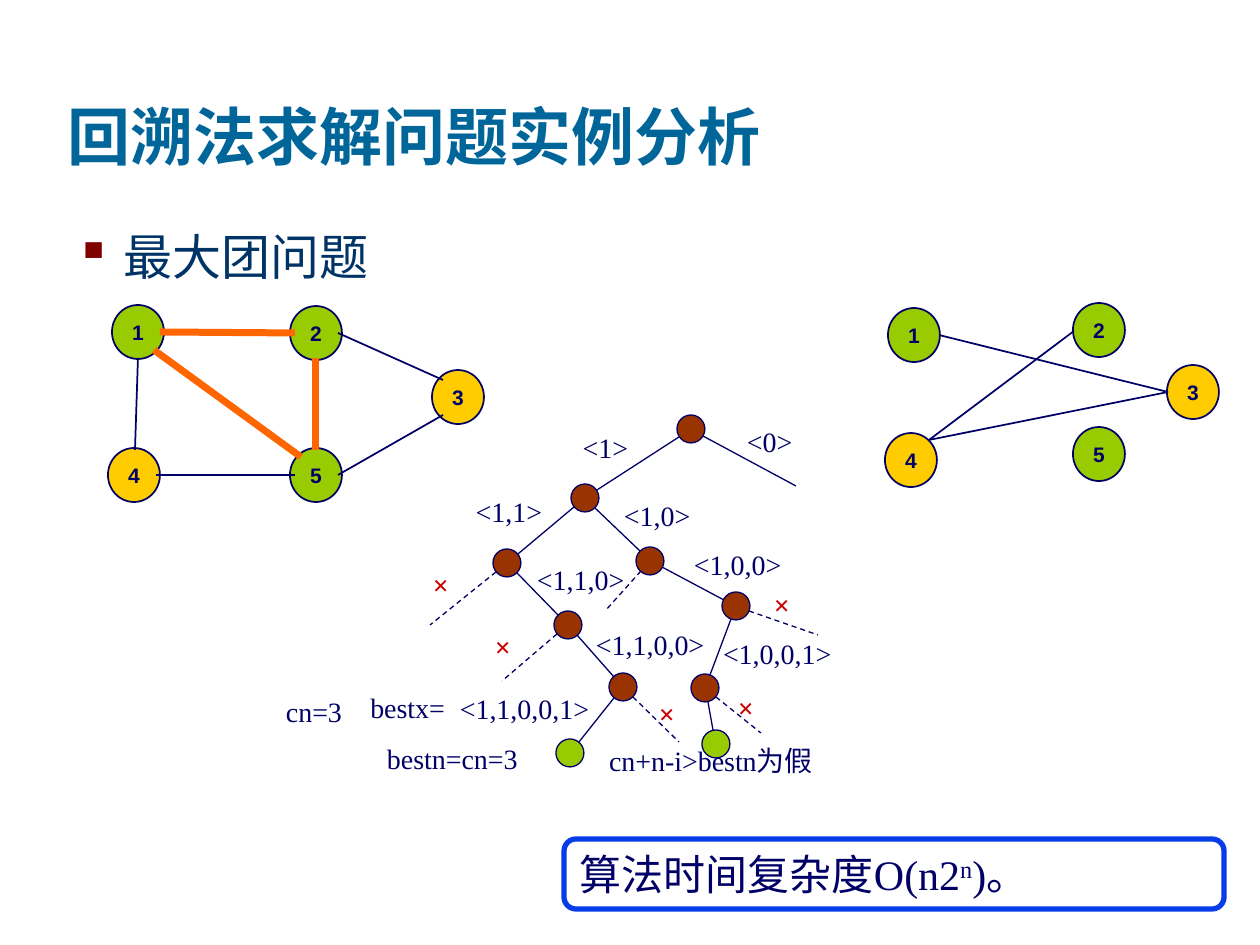
import math

import pptx
import pptx.dml.color
import pptx.enum.dml
import pptx.enum.shapes
import pptx.enum.text
import pptx.oxml.ns
import pptx.util
from lxml import etree

PX = 914400 / 126
COLORS = {
    "title": "006699", "body": "003366", "bullet": "800000", "ink": "000066",
    "brown": "993300", "green": "99CC00", "yellow": "FFCC00", "orange": "FF6600",
    "cross": "CC0000", "frame": "063DE8", "white": "FFFFFF",
}
ALIGN = pptx.enum.text.PP_ALIGN
ANCHOR = pptx.enum.text.MSO_ANCHOR
SHAPE = pptx.enum.shapes.MSO_SHAPE
SERIF = "Times New Roman"
HEADING = "Vollkorn"
RADIUS = 14
NODE_SIZE = (52, 54)


def emu(*lengths):
    return [pptx.util.Emu(round(length * PX)) for length in lengths]


def rgb(name):
    return pptx.dml.color.RGBColor.from_string(COLORS[name])


def sub(parent, tag, **attributes):
    return etree.SubElement(parent, pptx.oxml.ns.qn(tag), **attributes)


def toward(start, end):
    """Point on the tree circle round start that faces end."""
    ratio = RADIUS / math.dist(start, end)
    return tuple(round(a + (b - a) * ratio) for a, b in zip(start, end))


class Painter:
    def __init__(self, deck):
        self.page = deck.slides.add_slide(deck.slide_layouts[5])
        self.canvas = self.page.shapes

    def group(self):
        self.canvas = self.page.shapes.add_group_shape().shapes

    def ungroup(self):
        self.canvas = self.page.shapes

    def add_span(self, para, text, size, color="ink", font=SERIF, bold=False):
        span = para.add_run()
        span.text = text
        span.font.size = pptx.util.Pt(size)
        span.font.name = font
        span.font.bold = bold
        span.font.color.rgb = rgb(color)
        return span

    def title(self, text, place):
        box = self.page.shapes.title
        box.left, box.top, box.width, box.height = emu(*place)
        frame = box.text_frame
        frame.auto_size = pptx.enum.text.MSO_AUTO_SIZE.NONE
        frame.vertical_anchor = ANCHOR.BOTTOM
        para = frame.paragraphs[0]
        para.alignment = ALIGN.LEFT
        self.add_span(para, text, 36, "title", HEADING, True)

    def bullet(self, text, place):
        box = self.canvas.add_textbox(*emu(*place))
        box.text_frame.word_wrap = True
        para = box.text_frame.paragraphs[0]
        para.space_before = pptx.util.Pt(7)
        self.add_span(para, text, 28, "body", HEADING)
        props = para._p.get_or_add_pPr()
        indent = emu(48)[0]
        props.set("marL", str(indent))
        props.set("indent", str(-indent))
        sub(sub(props, "a:buClr"), "a:srgbClr", val=COLORS["bullet"])
        sub(props, "a:buChar", char="▪")

    def label(self, text, left, top, width, align=ALIGN.LEFT, color="ink", bold=False):
        box = self.canvas.add_textbox(*emu(left, top, width, 34))
        frame = box.text_frame
        frame.word_wrap = True
        frame.margin_left = frame.margin_right = 0
        frame.margin_top = frame.margin_bottom = 0
        para = frame.paragraphs[0]
        para.alignment = align
        para.space_before = pptx.util.Pt(10)
        self.add_span(para, text, 16, color, bold=bold)

    def shape(self, kind, place, fill, line="ink", weight=1):
        box = self.canvas.add_shape(kind, *emu(*place))
        box.shadow.inherit = False
        box.fill.solid()
        box.fill.fore_color.rgb = rgb(fill)
        box.line.color.rgb = rgb(line)
        box.line.width = pptx.util.Pt(weight)
        return box

    def tree_node(self, center, fill):
        x, y = center
        self.shape(SHAPE.OVAL, (x - RADIUS, y - RADIUS, 2 * RADIUS, 2 * RADIUS), fill, weight=0.75)

    def graph_node(self, name, corner, fill):
        box = self.shape(SHAPE.OVAL, (*corner, *NODE_SIZE), fill)
        frame = box.text_frame
        frame.word_wrap = False
        frame.vertical_anchor = ANCHOR.MIDDLE
        para = frame.paragraphs[0]
        para.alignment = ALIGN.CENTER
        self.add_span(para, name, 12, font="Arial", bold=True)

    def line(self, start, end, color="ink", weight=1, dashed=False):
        edge = self.canvas.add_connector(
            pptx.enum.shapes.MSO_CONNECTOR.STRAIGHT, *emu(*start, *end))
        edge.line.color.rgb = rgb(color)
        edge.line.width = pptx.util.Pt(weight)
        if dashed:
            edge.line.dash_style = pptx.enum.dml.MSO_LINE.DASH
        sub(edge._element.spPr, "a:effectLst")

    def framed_formula(self, place, parts):
        """Rounded frame with (text, is_superscript) parts."""
        box = self.shape(SHAPE.ROUNDED_RECTANGLE, place, "white", "frame", 3)
        box.adjustments[0] = 0.17
        box.text_frame.vertical_anchor = ANCHOR.TOP
        para = box.text_frame.paragraphs[0]
        para.alignment = ALIGN.LEFT
        for text, raised in parts:
            span = self.add_span(para, text, 24)
            if raised:
                span._r.get_or_add_rPr().set("baseline", "30000")


TREE = {
    "root": (691, 429), "1": (585, 498), "11": (507, 563), "10": (650, 561),
    "110": (568, 625), "100": (736, 606), "1100": (623, 687), "1001": (705, 688),
    "11001": (570, 753), "10011": (716, 744),
}
BRANCHES = [("root", "1"), ("1", "11"), ("1", "10"), ("11", "110"), ("10", "100"),
            ("110", "1100"), ("100", "1001"), ("1100", "11001"), ("1001", "10011")]
PRUNED = [("11", (430, 625)), ("110", (502, 681)), ("10", (606, 610)),
          ("1100", (679, 742)), ("1001", (761, 733)), ("100", (818, 635))]
CROSSES = [(433, 568), (495, 630), (659, 697), (738, 690), (774, 588)]
LABELS = [
    ("<1>", 523, 431, 105, ALIGN.RIGHT), ("<0>", 747, 425, 53, ALIGN.LEFT),
    ("<1,1>", 437, 495, 105, ALIGN.RIGHT), ("<1,0>", 624, 499, 105, ALIGN.LEFT),
    ("<1,1,0>", 537, 563, 105, ALIGN.LEFT), ("<1,0,0>", 694, 548, 122, ALIGN.LEFT),
    ("<1,1,0,0>", 596, 628, 126, ALIGN.LEFT), ("<1,0,0,1>", 723, 637, 122, ALIGN.LEFT),
    ("<1,1,0,0,1>", 457, 692, 132, ALIGN.RIGHT), ("bestx=", 354, 691, 91, ALIGN.RIGHT),
    ("cn=3", 286, 695, 66, ALIGN.LEFT), ("bestn=cn=3", 387, 742, 145, ALIGN.LEFT),
    ("cn+n-i>bestn为假", 609, 744, 220, ALIGN.LEFT),
]
CLIQUE_GRAPH = {"1": (112, 305), "2": (290, 306), "4": (108, 448), "5": (290, 448), "3": (432, 370)}
CLIQUE_EDGES = [((160, 332), (295, 333)), ((316, 450), (316, 358)), ((154, 350), (301, 457))]
OTHER_EDGES = [((138, 358), (135, 450)), ((156, 475), (295, 475)),
               ((443, 380), (338, 333)), ((338, 475), (443, 415))]
COMPLEMENT_GRAPH = {"1": (888, 308), "2": (1073, 303), "4": (885, 433), "5": (1073, 427), "3": (1167, 365)}
COMPLEMENT_EDGES = [((939, 335), (1168, 392)), ((929, 440), (1168, 392)), ((929, 440), (1074, 331))]


def draw_tree(painter):
    painter.group()
    for parent, child in BRANCHES:
        start, end = TREE[parent], TREE[child]
        painter.line(toward(start, end), toward(end, start), weight=0.75)
    stub = (796, 486)
    painter.line(toward(TREE["root"], stub), stub, weight=0.75)
    for parent, end in PRUNED:
        painter.line(toward(TREE[parent], end), end, weight=0.75, dashed=True)
    for name, center in TREE.items():
        painter.tree_node(center, "green" if len(name) == 5 else "brown")
    for label in LABELS:
        painter.label(*label)
    for left, top in CROSSES:
        painter.label("×", left, top, 38, color="cross", bold=True)
    painter.ungroup()


def draw_graph(painter, nodes, edges, clique=()):
    painter.group()
    for name, corner in nodes.items():
        painter.graph_node(name, corner, "green" if name in "125" else "yellow")
    for start, end in edges:
        painter.line(start, end)
    for start, end in clique:
        painter.line(start, end, "orange", 4)
    painter.ungroup()


def main():
    deck = pptx.Presentation()
    deck.slide_width, deck.slide_height = emu(1260, 945)
    painter = Painter(deck)
    painter.title("回溯法求解问题实例分析", (55, 21, 1071, 158))
    painter.bullet("最大团问题", (63, 220, 1126, 615))
    draw_tree(painter)
    painter.framed_formula((564, 839, 660, 70),
                           [("算法时间复杂度O(n2", False), ("n", True), (")。", False)])
    draw_graph(painter, CLIQUE_GRAPH, OTHER_EDGES, CLIQUE_EDGES)
    draw_graph(painter, COMPLEMENT_GRAPH, COMPLEMENT_EDGES)
    deck.save("out.pptx")


if __name__ == "__main__":
    main()
